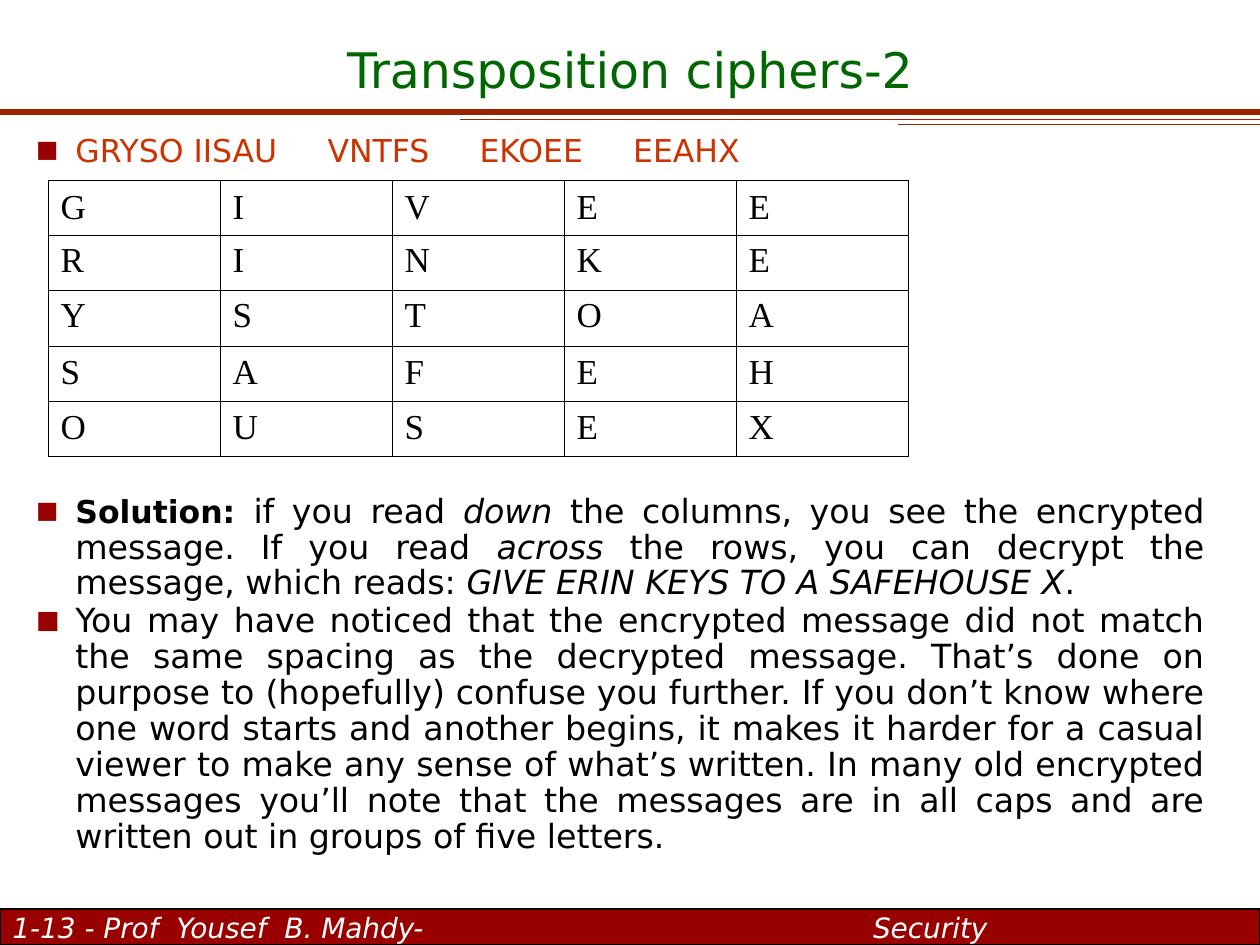
from lxml import etree
from pptx import Presentation
from pptx.dml.color import RGBColor
from pptx.enum.shapes import MSO_CONNECTOR, MSO_SHAPE
from pptx.enum.text import MSO_ANCHOR, PP_ALIGN
from pptx.oxml.ns import qn
from pptx.util import Pt

STRAIGHT = MSO_CONNECTOR.STRAIGHT
RECTANGLE = MSO_SHAPE.RECTANGLE
TOP, MIDDLE, BOTTOM = MSO_ANCHOR.TOP, MSO_ANCHOR.MIDDLE, MSO_ANCHOR.BOTTOM
CENTER, JUSTIFY = PP_ALIGN.CENTER, PP_ALIGN.JUSTIFY

WHITE = RGBColor(0xFF, 0xFF, 0xFF)
BLACK = RGBColor(0, 0, 0)
GREEN = RGBColor(0, 0x66, 0)
DARK_RED = RGBColor(0x99, 0, 0)
RULE_BROWN = RGBColor(0x98, 0x24, 0)
ORANGE = RGBColor(0xCC, 0x33, 0)

SANS = "DejaVu Sans"
SERIF = "Times New Roman"
INDENT = 22.5
GROUP_GAP = 22.9

CIPHER_GROUPS = ["GRYSO", "IISAU", "VNTFS", "EKOEE", "EEAHX"]
SOLUTION = [
    ("if you read ", False),
    ("down", True),
    (" the columns, you see the encrypted message. If you read ", False),
    ("across", True),
    (" the rows, you can decrypt the message, which reads: ", False),
    ("GIVE ERIN KEYS TO A SAFEHOUSE X", True),
    (".", False),
]
REMARK = (
    "You may have noticed that the encrypted message did not match the same "
    "spacing as the decrypted message. That’s done on purpose to (hopefully) "
    "confuse you further. If you don’t know where one word starts and another "
    "begins, it makes it harder for a casual viewer to make any sense of what’s "
    "written. In many old encrypted messages you’ll note that the messages are "
    "in all caps and are written out in groups of five letters."
)


def add_run(paragraph, text, size, color, name=SANS, bold=False, italic=False):
    run = paragraph.add_run()
    run.text = text
    font = run.font
    font.name, font.size, font.bold, font.italic = name, Pt(size), bold, italic
    font.color.rgb = color
    return run


def add_text_frame(slide, box, anchor):
    frame = slide.shapes.add_textbox(*map(Pt, box)).text_frame
    frame.word_wrap = True
    frame.vertical_anchor = anchor
    return frame


def add_title(slide, box):
    paragraph = add_text_frame(slide, box, BOTTOM).paragraphs[0]
    paragraph.alignment = CENTER
    add_run(paragraph, "Transposition ciphers-2", 28, GREEN)


def add_rules(slide, box):
    left, top, width, height = box
    for start, offset, weight in [(0, 0, 3), (0.365, 0.6, 0.75), (0.713, 1, 0.75)]:
        y = Pt(top + offset * height)
        rule = slide.shapes.add_connector(
            STRAIGHT, Pt(left + start * width), y, Pt(left + width), y)
        rule.line.color.rgb = RULE_BROWN
        rule.line.width = Pt(weight)
        etree.SubElement(rule._element.spPr, qn("a:effectLst"))


def add_footer(slide, box):
    bar = slide.shapes.add_shape(RECTANGLE, *map(Pt, box))
    bar.shadow.inherit = False
    bar.fill.solid()
    bar.fill.fore_color.rgb = DARK_RED
    bar.line.color.rgb = BLACK
    bar.line.width = Pt(1)
    frame = bar.text_frame
    frame.word_wrap = True
    frame.vertical_anchor = MIDDLE
    frame.margin_top = frame.margin_bottom = 0
    paragraph = frame.paragraphs[0]
    paragraph.alignment = PP_ALIGN.LEFT
    tabs = etree.SubElement(paragraph._p.get_or_add_pPr(), qn("a:tabLst"))
    etree.SubElement(tabs, qn("a:tab"), pos=str(Pt(491.8)), algn="l")
    add_run(paragraph, "1-13 - Prof  Yousef  B. Mahdy-", 16, WHITE, italic=True)
    add_run(paragraph, "\tSecurity", 16, WHITE, italic=True)


def format_bullet(paragraph, space_before):
    properties = paragraph._p.get_or_add_pPr()
    properties.set("marL", str(Pt(INDENT)))
    properties.set("indent", str(-Pt(INDENT)))
    color = etree.SubElement(properties, qn("a:buClr"))
    etree.SubElement(color, qn("a:srgbClr"), val=str(DARK_RED))
    etree.SubElement(properties, qn("a:buSzPct"), val="75000")
    etree.SubElement(properties, qn("a:buFont"), typeface=SANS)
    etree.SubElement(properties, qn("a:buChar"), char="■")
    paragraph.alignment = JUSTIFY
    paragraph.line_spacing = 0.9
    if space_before:
        paragraph.space_before = Pt(space_before)


def add_body(slide, box):
    frame = add_text_frame(slide, box, TOP)
    cipher = frame.paragraphs[0]
    format_bullet(cipher, 0)
    for index, group in enumerate(CIPHER_GROUPS):
        if index:
            space = add_run(cipher, " ", 18, ORANGE)
            if index > 1:
                space.font._element.set("spc", str(round(GROUP_GAP * 100)))
        add_run(cipher, group, 18, ORANGE)

    solution = frame.add_paragraph()
    format_bullet(solution, 186)
    add_run(solution, "Solution: ", 18, BLACK, bold=True)
    for text, italic in SOLUTION:
        add_run(solution, text, 19, BLACK, italic=italic)

    remark = frame.add_paragraph()
    format_bullet(remark, 1.1)
    add_run(remark, REMARK, 19, BLACK)


def format_cell(cell):
    properties = cell._tc.get_or_add_tcPr()
    for side in ("lnL", "lnR", "lnT", "lnB"):
        line = etree.SubElement(properties, qn("a:" + side), w=str(Pt(0.45)))
        fill = etree.SubElement(line, qn("a:solidFill"))
        etree.SubElement(fill, qn("a:srgbClr"), val=str(BLACK))
    cell.fill.background()


def add_cipher_table(slide, box):
    count = len(CIPHER_GROUPS)
    table = slide.shapes.add_table(count, count, *map(Pt, box)).table
    table.first_row = table.horz_banding = False
    for column in table.columns:
        column.width = Pt(box[2] / count)
    for row_index, letters in enumerate(zip(*CIPHER_GROUPS)):
        table.rows[row_index].height = Pt(32.4 if row_index == 2 else 31.4)
        for column_index, letter in enumerate(letters):
            cell = table.cell(row_index, column_index)
            cell.vertical_anchor = TOP if row_index else MIDDLE
            format_cell(cell)
            paragraph = cell.text_frame.paragraphs[0]
            add_run(paragraph, letter, 20, BLACK, name=SERIF)


def main():
    presentation = Presentation()
    presentation.slide_width, presentation.slide_height = Pt(720), Pt(540)
    slide = presentation.slides.add_slide(presentation.slide_layouts[6])
    add_rules(slide, (0, 64, 720, 7.2))
    add_footer(slide, (0, 519.6, 720, 20.4))
    add_title(slide, (0, 18, 720, 41.8))
    add_body(slide, (13.5, 73.5, 682, 433.5))
    add_cipher_table(slide, (27.5, 103, 491.5, 158))
    presentation.save("out.pptx")


if __name__ == "__main__":
    main()
